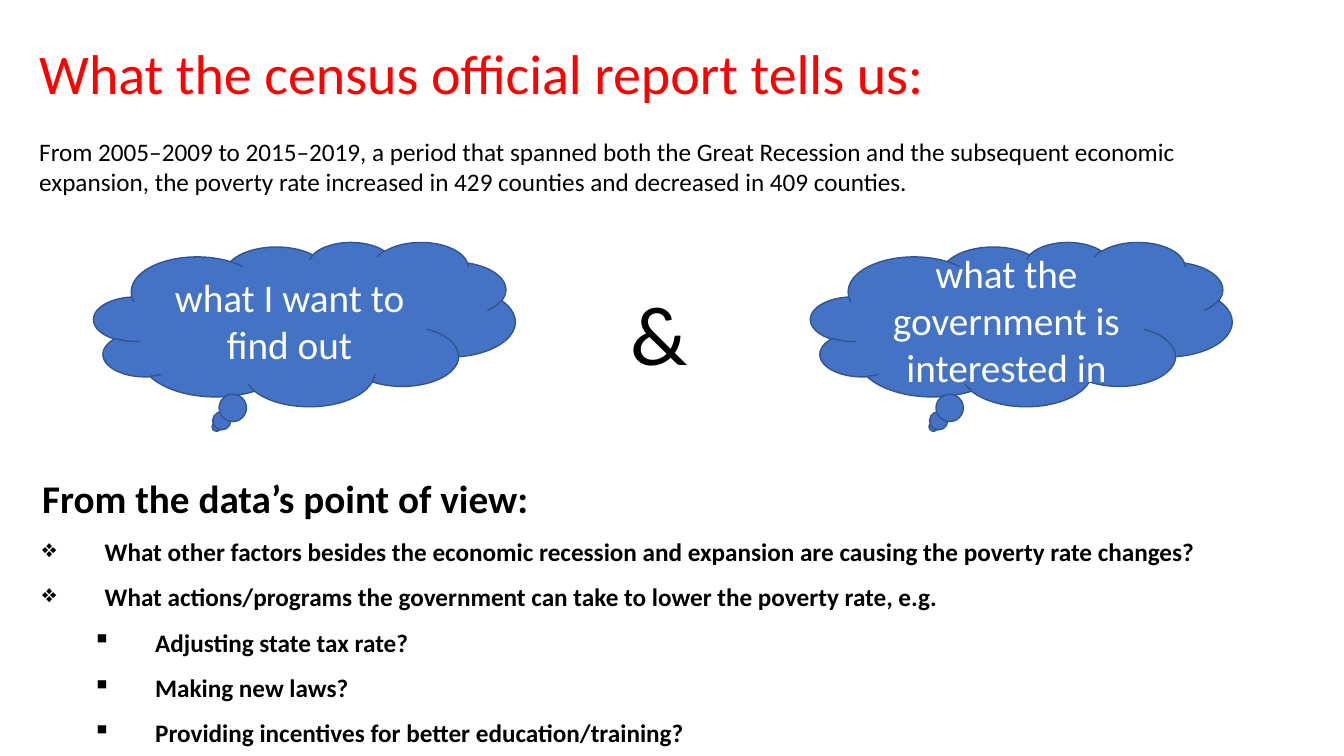
from lxml import etree
from pptx import Presentation, util as u
from pptx.dml.color import RGBColor
from pptx.enum import shapes, text
from pptx.oxml.ns import qn

BLACK = RGBColor(0x00, 0x00, 0x00)
RED = RGBColor(0xFF, 0x00, 0x00)
WHITE = RGBColor(0xFF, 0xFF, 0xFF)
CLOUD_BLUE = RGBColor(0x44, 0x72, 0xC4)
CLOUD_EDGE = RGBColor(0x32, 0x54, 0x91)

deck = Presentation()
deck.slide_width, deck.slide_height = u.Inches(13.33), u.Inches(7.5)
page = deck.slides.add_slide(deck.slide_layouts[6])


def share(left, top, width, height):
    """Turn percentages of the slide's size into lengths."""
    across, down = deck.slide_width / 100, deck.slide_height / 100
    return int(left * across), int(top * down), int(width * across), int(height * down)


def write(frame, lines):
    """Fill a text frame with (wording, size, colour, bold) lines and return its paragraphs."""
    frame.word_wrap = True
    for number, (wording, size, colour, bold) in enumerate(lines):
        para = frame.add_paragraph() if number else frame.paragraphs[0]
        para.text = wording
        para.font.name, para.font.size = "Calibri", u.Pt(size)
        para.font.color.rgb, para.font.bold = colour, bold
    return frame.paragraphs


# Questions raised by the data
questions = [
    ("What other factors besides the economic recession and expansion "
     "are causing the poverty rate changes?", 0),
    ("What actions/programs the government can take to lower the poverty rate, e.g.", 0),
    ("Adjusting state tax rate?", 1),
    ("Making new laws?", 1),
    ("Providing incentives for better education/training?", 1),
]
box = page.shapes.add_textbox(*share(2.4, 58.93, 94.75, 40.4))
heading, *bullets = write(
    box.text_frame,
    [("From the data’s point of view:", 28, BLACK, True)]
    + [(wording, 18, BLACK, True) for wording, level in questions])
heading.line_spacing = 1.5
hang = u.Inches(0.62)
for para, (wording, level) in zip(bullets, questions):
    para.level, para.line_spacing = level, 1.5
    props = para._p.get_or_add_pPr()
    props.set("marL", str(hang + level * u.Inches(0.5)))
    props.set("indent", str(-hang))
    bullet = etree.Element(qn("a:buChar"), char="❖▪"[level])
    props.find(qn("a:defRPr")).addprevious(bullet)

# Title and finding
box = page.shapes.add_textbox(*share(2.18, 4.4, 89.5, 22.4))
title, finding = write(box.text_frame, [
    ("What the census official report tells us:", 40, RED, False),
    ("From 2005–2009 to 2015–2019, a period that spanned both the Great Recession "
     "and the subsequent economic expansion, the poverty rate increased in 429 counties "
     "and decreased in 409 counties.", 18, BLACK, False),
])
finding.space_before = u.Pt(22)

# Two thought clouds joined by an ampersand
for left, thought in [(60.32, "what the government is interested in"),
                      (6.98, "what I want to find out")]:
    cloud = page.shapes.add_shape(shapes.MSO_SHAPE.CLOUD_CALLOUT, *share(left, 32, 31.36, 21.73))
    cloud.shadow.inherit = False
    cloud.fill.solid()
    cloud.fill.fore_color.rgb = CLOUD_BLUE
    cloud.line.color.rgb, cloud.line.width = CLOUD_EDGE, u.Pt(1)
    cloud.text_frame.vertical_anchor = text.MSO_ANCHOR.MIDDLE
    para, = write(cloud.text_frame, [(thought, 28, WHITE, False)])
    para.alignment = text.PP_ALIGN.CENTER

box = page.shapes.add_textbox(*share(46.21, 36.53, 6.98, 14.8))
write(box.text_frame, [("&", 60, BLACK, False)])

deck.save("out.pptx")
